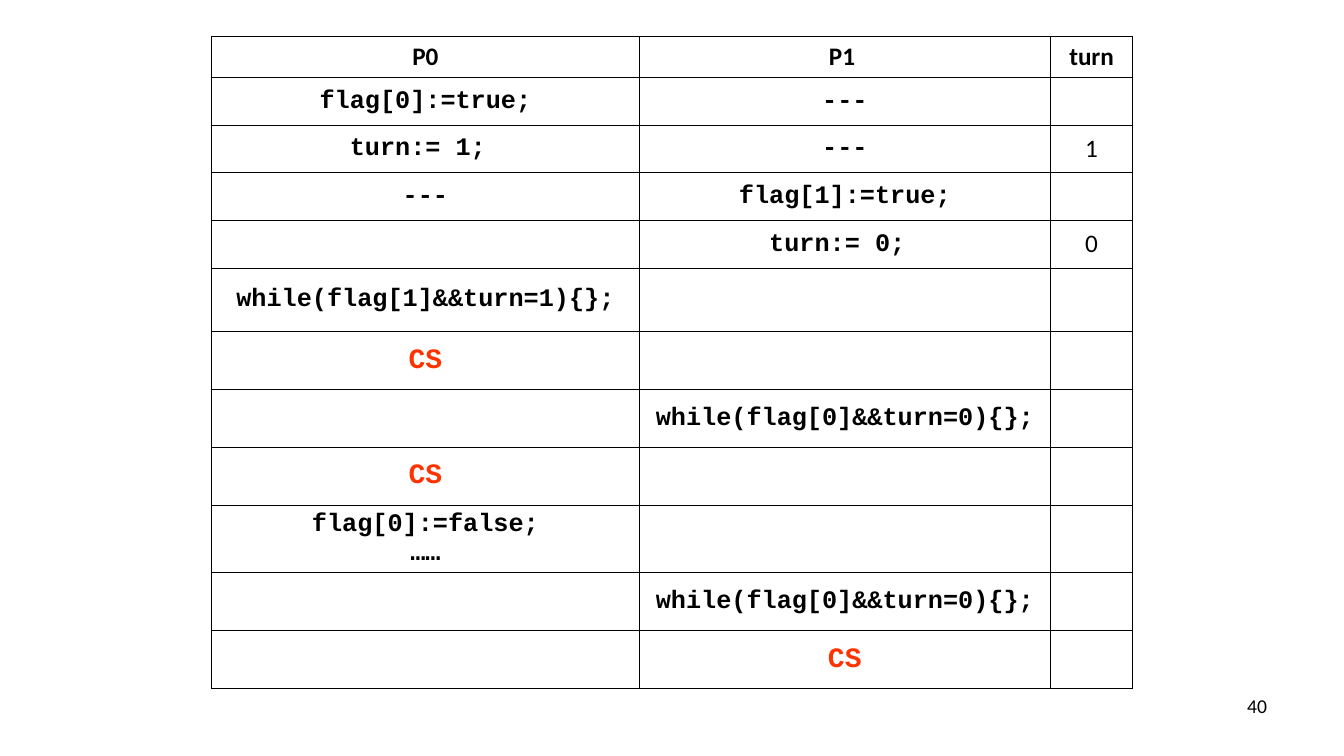
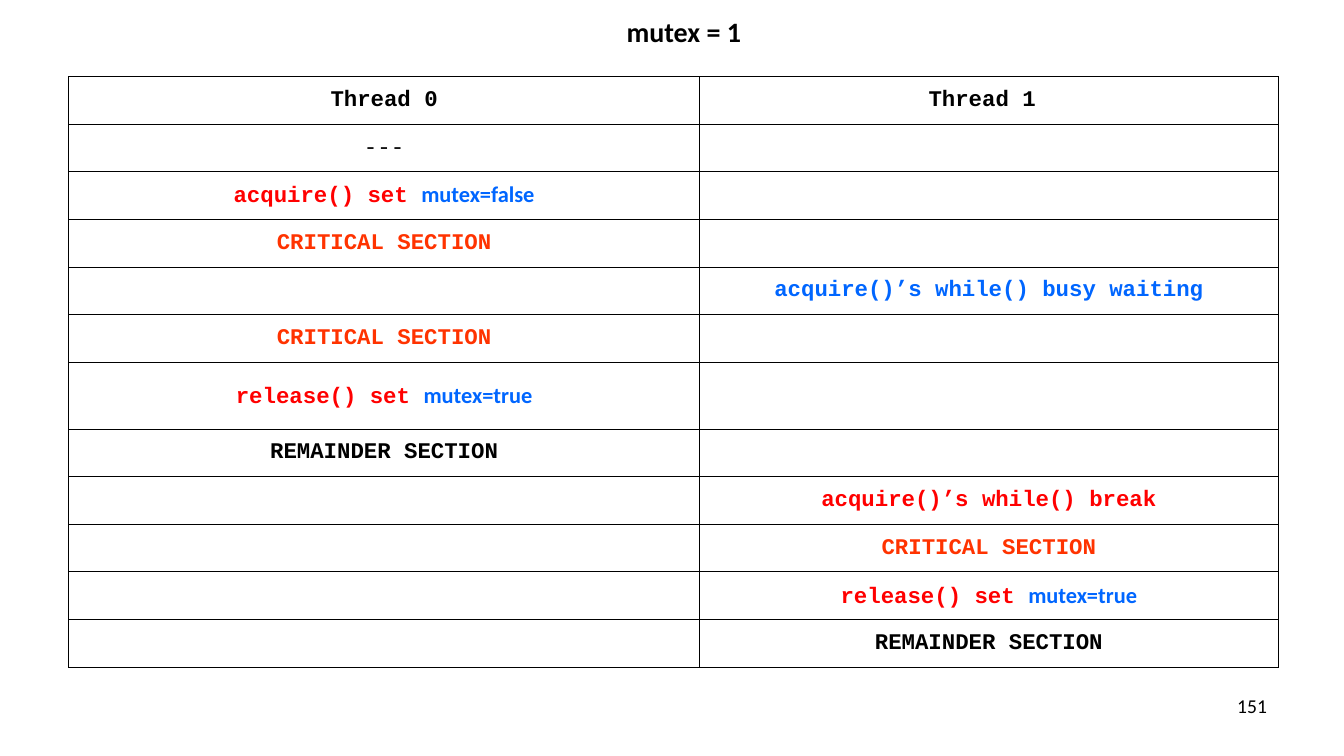
from dataclasses import dataclass
from functools import partial

from lxml.etree import SubElement
from pptx import Presentation
from pptx.dml.color import RGBColor
from pptx.enum.text import MSO_ANCHOR, PP_ALIGN
from pptx.oxml.ns import qn
from pptx.util import Cm, Pt

HUES = {"ink": "000000", "red": "FF0000", "fire": "FF3300", "blue": "0066FF"}
TEXT, CODE = "Calibri", "Courier New"


@dataclass(frozen=True)
class Run:
    text: str
    size: int = 18
    font: str = CODE
    hue: str = "ink"
    bold: bool = True
    fresh: bool = False  # starts a new paragraph


Cell = tuple[Run, ...]


@dataclass(frozen=True)
class Grid:
    left: float
    top: float
    cols: list[float]
    rows: list[float]
    pad: float
    cells: list[list[Cell]]


def write(frame, runs: Cell, align=PP_ALIGN.CENTER) -> None:
    para = frame.paragraphs[0]
    para.alignment = align
    for item in runs:
        if item.fresh:
            para = frame.add_paragraph()
            para.alignment = align
        run = para.add_run()
        run.text = item.text
        font = run.font
        font.size, font.name, font.bold = Pt(item.size), item.font, item.bold
        font.color.rgb = RGBColor.from_string(HUES[item.hue])


def edge(cell) -> None:
    """Give the cell a thin line on all four sides."""
    props = cell._tc.get_or_add_tcPr()
    for side in ("lnL", "lnR", "lnT", "lnB"):
        line = SubElement(props, qn(f"a:{side}"), w=str(Pt(0.75)))
        fill = SubElement(line, qn("a:solidFill"))
        SubElement(fill, qn("a:srgbClr"), val=HUES["ink"])


def draw(slide, grid: Grid) -> None:
    table = slide.shapes.add_table(
        len(grid.rows), len(grid.cols), Cm(grid.left), Cm(grid.top),
        Cm(sum(grid.cols)), Cm(sum(grid.rows))).table
    table.first_row = table.horz_banding = False
    for col, width in zip(table.columns, grid.cols):
        col.width = Cm(width)
    for row, height, line in zip(table.rows, grid.rows, grid.cells):
        row.height = Cm(height)
        for cell, runs in zip(row.cells, line):
            cell.vertical_anchor = MSO_ANCHOR.MIDDLE
            cell.margin_left = cell.margin_right = Cm(grid.pad)
            cell.margin_top = cell.margin_bottom = Cm(0.13)
            edge(cell)
            cell.fill.background()
            write(cell.text_frame, runs)


def label(slide, box: tuple[float, ...], run: Run, align) -> None:
    frame = slide.shapes.add_textbox(*map(Cm, box)).text_frame
    frame.word_wrap = True
    write(frame, (run,), align)


def page(deck, grid: Grid, num: int, title: str = "") -> None:
    slide = deck.slides.add_slide(deck.slide_layouts[6])
    draw(slide, grid)
    if title:
        label(slide, (6.53, 0.25, 21.41, 1.12), Run(title, 20, TEXT),
              PP_ALIGN.CENTER)
    label(slide, (24.28, 17.35, 7.9, 1.32),
          Run(str(num), 14, TEXT, bold=False), PP_ALIGN.RIGHT)


def turns() -> Grid:
    def head(text: str) -> Cell:
        return (Run(text, font=TEXT),)

    def code(text: str) -> Cell:
        return (Run(text),)

    def turn(text: str) -> Cell:
        return (Run(text, font=TEXT, bold=False),)

    none, idle = (), code("---")
    crit = (Run("CS", 20, hue="fire"),)
    wait = code("while(flag[0]&&turn=0){};")
    done = (Run("flag[0]:=false;"), Run("……", fresh=True))
    return Grid(
        5.33, 0.92, [10.78, 10.36, 2.08],
        [1.03] + [1.2] * 4 + [1.6] + [1.46] * 3 + [1.69] + [1.46] * 2, 0.25,
        [[head("P0"), head("P1 "), head("turn")],
         [code("flag[0]:=true;"), idle, none],
         [code("turn:= 1; "), idle, turn("1")],
         [idle, code("flag[1]:=true;"), none],
         [none, code("turn:= 0; "), turn("0")],
         [code("while(flag[1]&&turn=1){};"), none, none],
         [crit, none, none],
         [none, wait, none],
         [crit, none, none],
         [done, none, none],
         [none, wait, none],
         [none, crit, none]])


def locks() -> Grid:
    code = partial(Run, size=16)

    def pair(call: str, state: str) -> Cell:
        """A call in red, then the value it leaves in blue."""
        return (code(f"{call}() set ", hue="red"),
                code(f"mutex={state}", font=TEXT, hue="blue"))

    none = ()
    crit = (code("CRITICAL SECTION", hue="fire"),)
    rest = (code("REMAINDER SECTION"),)
    free = pair("release", "true")
    return Grid(
        1.73, 1.93, [15.9, 14.58], [1.2] * 6 + [1.68] + [1.2] * 5, 0.33,
        [[(code("Thread 0"),), (code("Thread 1 "),)],
         [(code("---", bold=False),), none],
         [pair("acquire", "false"), none],
         [crit, none],
         [none, (code("acquire()’s while() busy waiting", hue="blue"),)],
         [crit, none],
         [free, none],
         [rest, none],
         [none, (code("acquire()’s while() break", hue="red"),)],
         [none, crit],
         [none, free],
         [none, rest]])


def main() -> None:
    deck = Presentation()
    deck.slide_width, deck.slide_height = Cm(33.87), Cm(19.05)
    page(deck, turns(), 40)
    page(deck, locks(), 151, "mutex = 1")
    deck.save("out.pptx")


if __name__ == "__main__":
    main()
